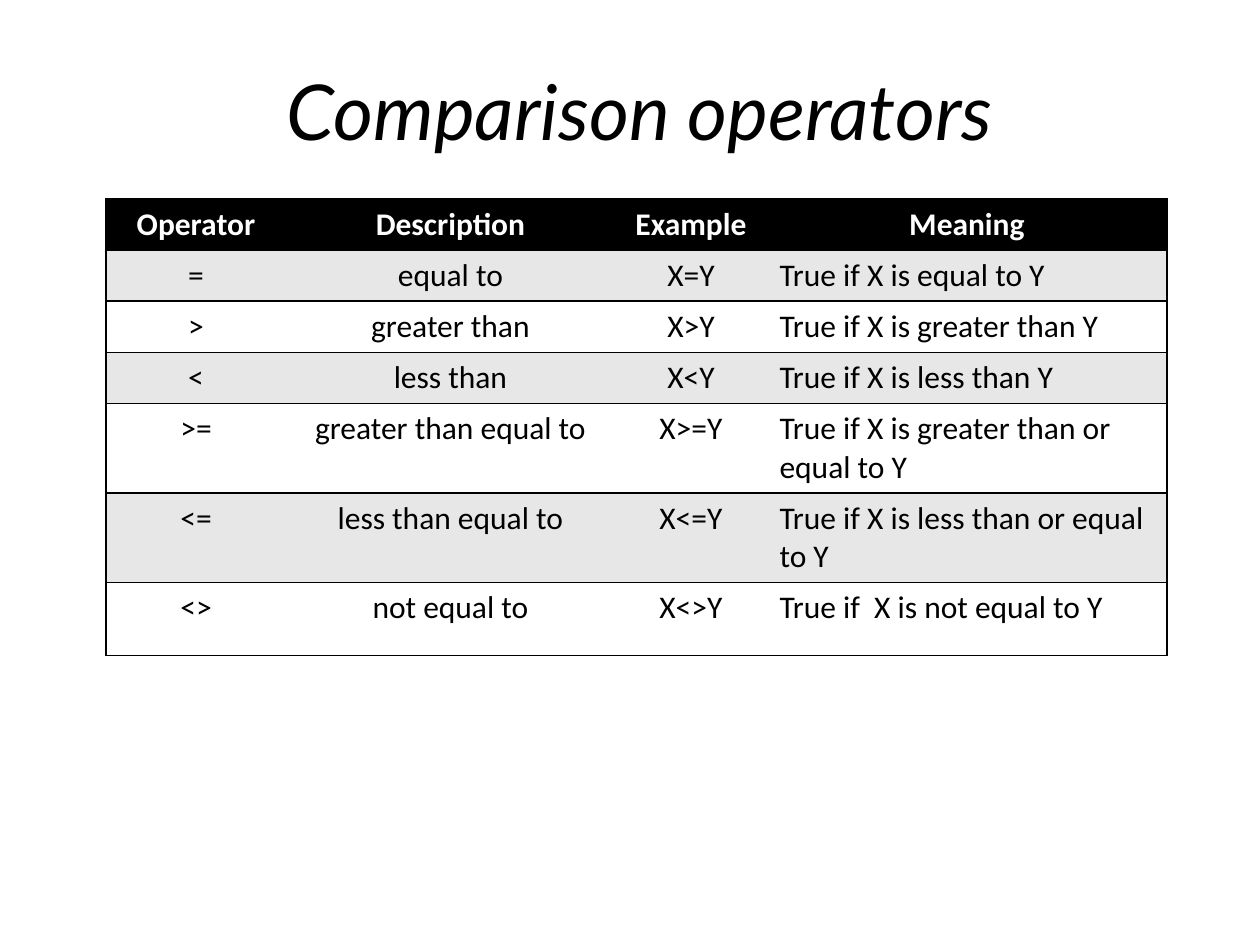
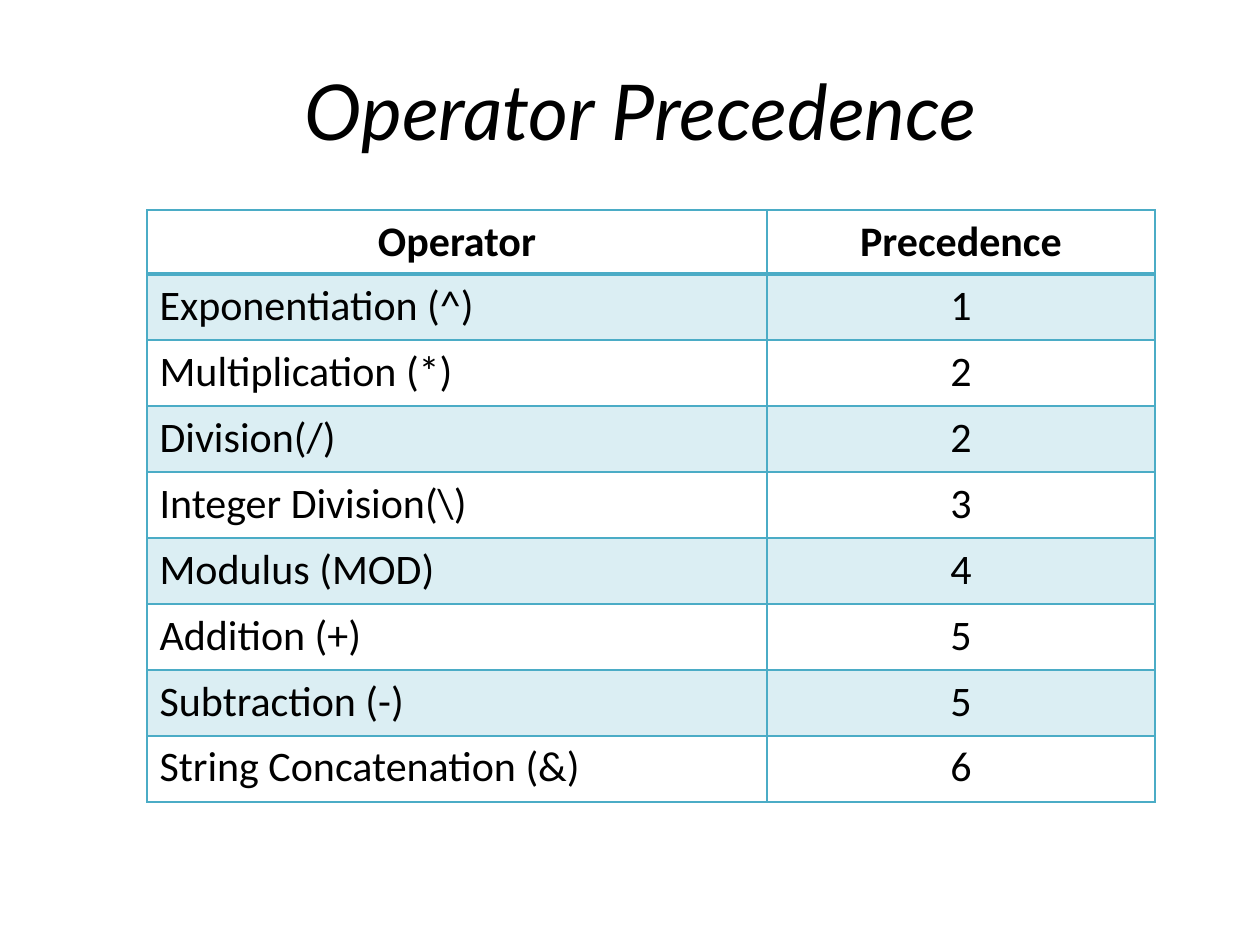
from lxml.etree import SubElement
from pptx import Presentation
from pptx.dml.color import RGBColor
from pptx.enum.text import MSO_ANCHOR, PP_ALIGN
from pptx.oxml.ns import qn
from pptx.util import Emu, Pt

PIXEL = 914400 // 126
BLACK, WHITE, GRAY, TEAL = "000000", "FFFFFF", "E7E7E7", "4BACC6"
LEFT, CENTER, JUSTIFY = PP_ALIGN.LEFT, PP_ALIGN.CENTER, PP_ALIGN.JUSTIFY


def write(frame, text, size, font, color=BLACK, bold=False, italic=False, align=CENTER):
    para = frame.paragraphs[0]
    para.alignment = align
    span = para.add_run()
    span.text = text
    span.font.size = Pt(size)
    span.font.name = font
    span.font.bold = bold
    span.font.italic = italic
    span.font.color.rgb = RGBColor.from_string(color)


def draw_border(cell, side, color, width):
    line = SubElement(cell._tc.get_or_add_tcPr(), qn("a:ln" + side), w=str(Pt(width)))
    if width:
        fill = SubElement(line, qn("a:solidFill"))
        SubElement(fill, qn("a:srgbClr"), val=color)
    else:
        SubElement(line, qn("a:noFill"))


slides = [
    {
        "title": "Comparison operators", "title_left": 115,
        "left": 106, "top": 199, "size": 18,
        "columns": [180, 329, 152, 400], "heights": [51] * 4 + [89, 89, 73],
        "aligns": [CENTER, CENTER, CENTER, LEFT],
        "line": BLACK, "header_line": 1, "inner_line": 0,
        "header_color": WHITE, "header_fill": BLACK,
        "bands": [GRAY, WHITE], "alpha": None,
        "rows": [
            ["Operator", "Description", "Example", "Meaning"],
            ["=", "equal to", "X=Y", "True if X is equal to Y"],
            [">", "greater than", "X>Y", "True if X is greater than Y"],
            ["<", "less than", "X<Y", "True if X is less than Y"],
            [">=", "greater than equal to", "X>=Y", "True if X is greater than or equal to Y"],
            ["<=", "less than equal to", "X<=Y", "True if X is less than or equal to Y"],
            ["<>", "not equal to", "X<>Y", "True if  X is not equal to Y"],
        ],
    },
    {
        "title": "Operator Precedence", "title_left": 116,
        "left": 147, "top": 210, "size": 24,
        "columns": [620, 388], "heights": [64] + [66] * 8,
        "aligns": [JUSTIFY, CENTER],
        "line": TEAL, "header_line": 2, "inner_line": 1,
        "header_color": BLACK, "header_fill": None,
        "bands": [TEAL, None], "alpha": 20,
        "rows": [
            ["Operator", "Precedence"],
            ["Exponentiation (^)", "1"],
            ["Multiplication (*)", "2"],
            ["Division(/)", "2"],
            ["Integer Division(\\)", "3"],
            ["Modulus (MOD)", "4"],
            ["Addition (+)", "5"],
            ["Subtraction (-)", "5"],
            ["String Concatenation (&)", "6"],
        ],
    },
]

deck = Presentation()
deck.slide_width = Emu(1260 * PIXEL)
deck.slide_height = Emu(945 * PIXEL)

for content in slides:
    page = deck.slides.add_slide(deck.slide_layouts[5])
    title = page.shapes.title
    title.left, title.top, title.width, title.height = [
        Emu(pixels * PIXEL) for pixels in (content["title_left"], 15, 1050, 189)
    ]
    title.text_frame.vertical_anchor = MSO_ANCHOR.MIDDLE
    write(title.text_frame, content["title"], 44, "Lato", italic=True)

    rows, columns, heights = content["rows"], content["columns"], content["heights"]
    box = [content["left"], content["top"], sum(columns), sum(heights)]
    table = page.shapes.add_table(
        len(rows), len(columns), *[Emu(pixels * PIXEL) for pixels in box]
    ).table
    table.first_row = True
    table.horz_banding = False
    for column, width in zip(table.columns, columns):
        column.width = Emu(width * PIXEL)

    for row_index, texts in enumerate(rows):
        table.rows[row_index].height = Emu(heights[row_index] * PIXEL)
        header = row_index == 0
        fill = content["header_fill"] if header else content["bands"][(row_index - 1) % 2]
        for column_index, text in enumerate(texts):
            cell = table.cell(row_index, column_index)
            write(
                cell.text_frame, text, content["size"], "Calibri", bold=header,
                color=content["header_color"] if header else BLACK,
                align=CENTER if header else content["aligns"][column_index],
            )
            borders = {
                "L": 1 if column_index == 0 else content["inner_line"],
                "R": 1 if column_index == len(columns) - 1 else content["inner_line"],
                "T": content["header_line"] if row_index == 1 else 1,
                "B": content["header_line"] if header else 1,
            }
            for side, width in borders.items():
                draw_border(cell, side, content["line"], width)
            if fill is None:
                cell.fill.background()
                continue
            cell.fill.solid()
            cell.fill.fore_color.rgb = RGBColor.from_string(fill)
            if content["alpha"]:
                color = cell._tc.tcPr.find(qn("a:solidFill")).find(qn("a:srgbClr"))
                SubElement(color, qn("a:alpha"), val=str(content["alpha"] * 1000))

deck.save("out.pptx")
